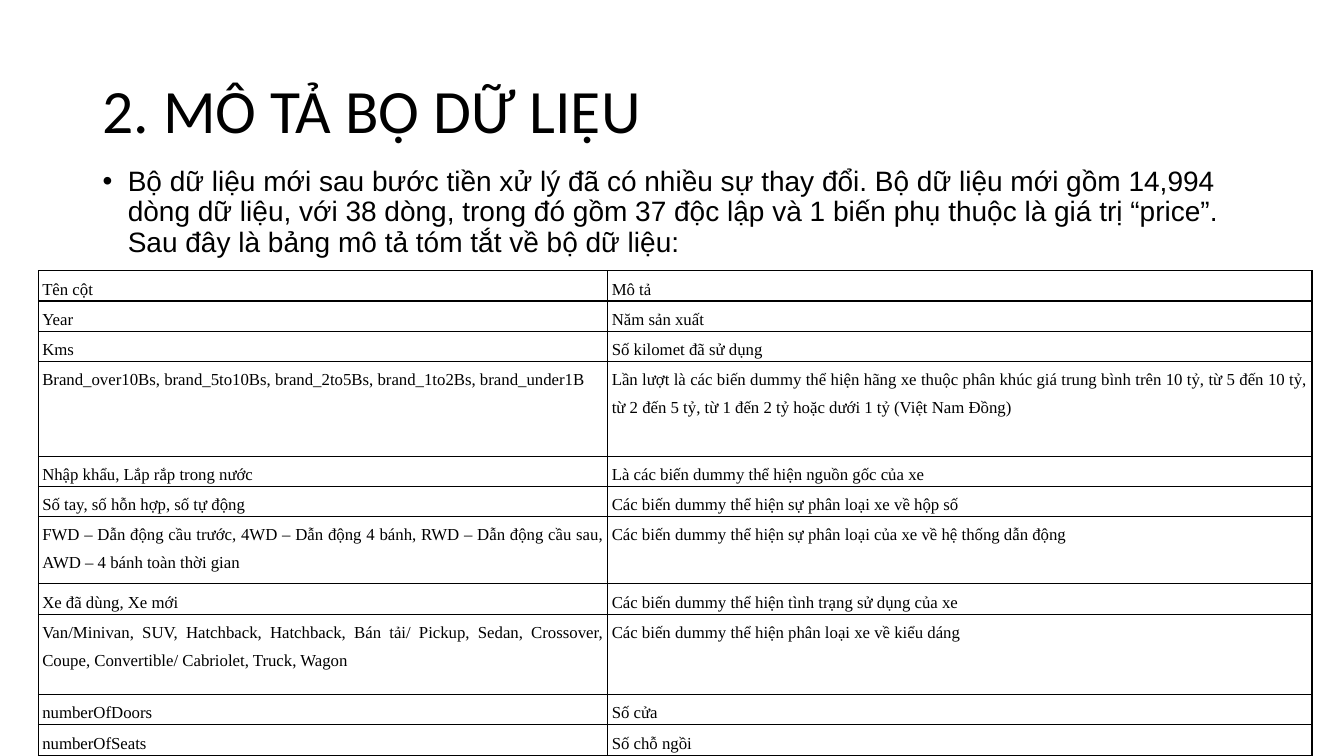
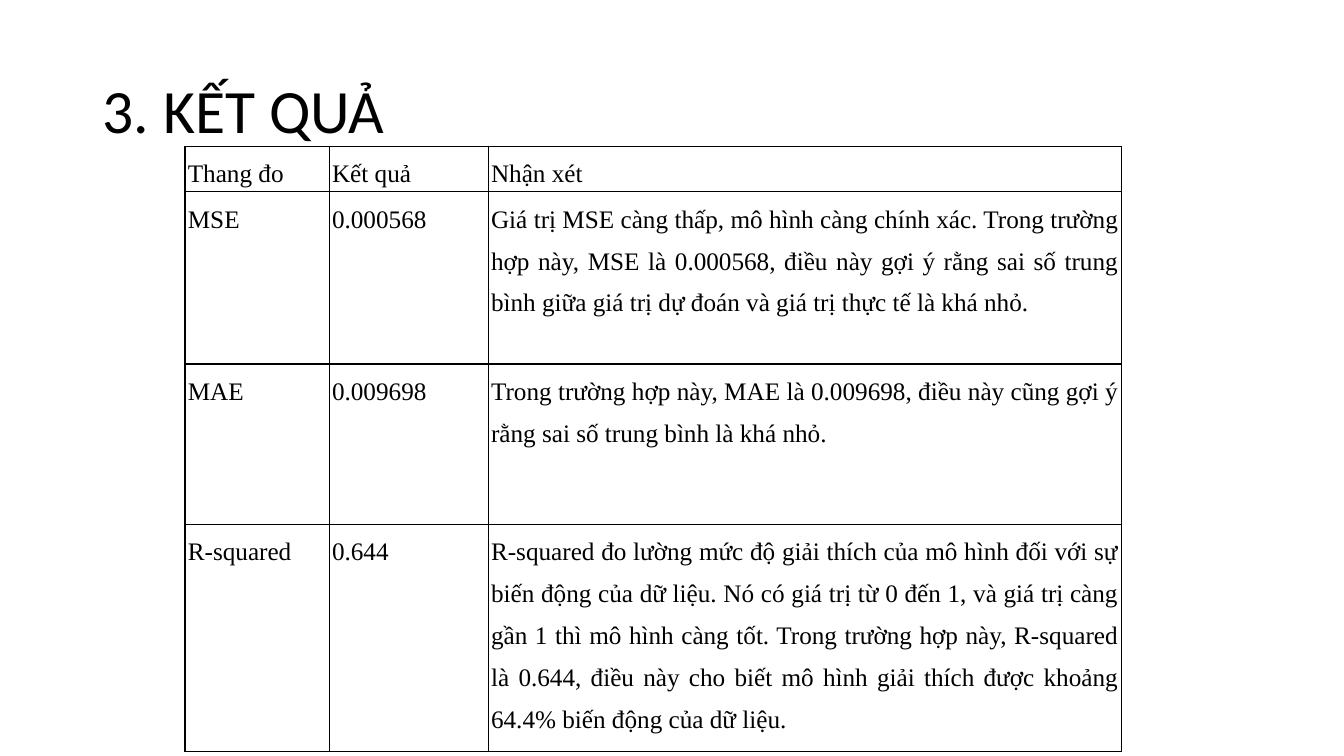
from lxml.etree import SubElement
from pptx import Presentation
from pptx.dml.color import RGBColor
from pptx.enum.text import MSO_ANCHOR, PP_ALIGN
from pptx.oxml.ns import qn
from pptx.util import Pt

BLACK = RGBColor(0x00, 0x00, 0x00)
WHITE = RGBColor(0xFF, 0xFF, 0xFF)
TITLE_FONT, BODY_FONT, TABLE_FONT = "Calibri", "Arial", "Times New Roman"
LEFT = 66.2

DATA_ROWS = [
    ("Tên cột", "Mô tả"),
    ("Year", "Năm sản xuất"),
    ("Kms", "Số kilomet đã sử dụng"),
    ("Brand_over10Bs, brand_5to10Bs, brand_2to5Bs, brand_1to2Bs, brand_under1B",
     "Lần lượt là các biến dummy thể hiện hãng xe thuộc phân khúc giá trung bình "
     "trên 10 tỷ, từ 5 đến 10 tỷ, từ 2 đến 5 tỷ, từ 1 đến 2 tỷ hoặc dưới 1 tỷ "
     "(Việt Nam Đồng)"),
    ("Nhập khẩu, Lắp rắp trong nước", "Là các biến dummy thể hiện nguồn gốc của xe"),
    ("Số tay, số hỗn hợp, số tự động",
     "Các biến dummy thể hiện sự phân loại xe về hộp số"),
    ("FWD – Dẫn động cầu trước, 4WD – Dẫn động 4 bánh, RWD – Dẫn động cầu sau, "
     "AWD – 4 bánh toàn thời gian",
     "Các biến dummy thể hiện sự phân loại của xe về hệ thống dẫn động"),
    ("Xe đã dùng, Xe mới", "Các biến dummy thể hiện tình trạng sử dụng của xe"),
    ("Van/Minivan, SUV, Hatchback, Hatchback, Bán tải/ Pickup, Sedan, Crossover, "
     "Coupe, Convertible/ Cabriolet, Truck, Wagon",
     "Các biến dummy thể hiện phân loại xe về kiểu dáng"),
    ("numberOfDoors", "Số cửa"),
    ("numberOfSeats", "Số chỗ ngồi"),
]
DATA_HEIGHTS = [20, 20, 20, 67.5, 20, 20, 48, 20, 57.5, 20, 20]

RESULT_ROWS = [
    ("Thang đo", "Kết quả", "Nhận xét"),
    ("MSE", "0.000568",
     "Giá trị MSE càng thấp, mô hình càng chính xác. Trong trường hợp này, MSE là "
     "0.000568, điều này gợi ý rằng sai số trung bình giữa giá trị dự đoán và giá "
     "trị thực tế là khá nhỏ."),
    ("MAE", "0.009698",
     "Trong trường hợp này, MAE là 0.009698, điều này cũng gợi ý rằng sai số trung "
     "bình là khá nhỏ."),
    ("R-squared", "0.644",
     "R-squared đo lường mức độ giải thích của mô hình đối với sự biến động của dữ "
     "liệu. Nó có giá trị từ 0 đến 1, và giá trị càng gần 1 thì mô hình càng tốt. "
     "Trong trường hợp này, R-squared là 0.644, điều này cho biết mô hình giải thích "
     "được khoảng 64.4% biến động của dữ liệu."),
]
RESULT_HEIGHTS = [30, 123, 114.5, 149]


def add_run(p, text, font, size):
    r = p.add_run()
    r.text = text
    r.font.name = font
    r.font.size = Pt(size)
    r.font.color.rgb = BLACK


def add_text(slide, box, text, font, size, anchor):
    """Add a wrapped text box and return its paragraph."""
    tf = slide.shapes.add_textbox(*map(Pt, box)).text_frame
    tf.word_wrap = True
    tf.vertical_anchor = anchor
    p = tf.paragraphs[0]
    p.line_spacing = 0.9
    add_run(p, text, font, size)
    return p


def add_title(slide, text):
    add_text(slide, (LEFT, 28.8, 828, 104.4), text, TITLE_FONT, 44, MSO_ANCHOR.MIDDLE)


def add_bullet(slide, text):
    p = add_text(slide, (LEFT, 116, 851, 104.4), text, BODY_FONT, 20, MSO_ANCHOR.TOP)
    p.space_before = Pt(10)
    pPr = p._p.get_or_add_pPr()
    pPr.set("marL", str(Pt(18)))
    pPr.set("indent", str(-Pt(18)))
    SubElement(pPr, qn("a:buFont"), typeface=BODY_FONT)
    SubElement(pPr, qn("a:buChar"), char="•")


def add_borders(cell):
    tcPr = cell._tc.get_or_add_tcPr()
    for side in "LRTB":
        ln = SubElement(tcPr, qn(f"a:ln{side}"), w=str(Pt(1)))
        fill = SubElement(ln, qn("a:solidFill"))
        SubElement(fill, qn("a:srgbClr"), val=str(BLACK))


def fill_cell(cell, text, size, inset):
    add_borders(cell)
    cell.fill.solid()
    cell.fill.fore_color.rgb = WHITE
    cell.margin_left = cell.margin_right = Pt(inset)
    cell.margin_top = cell.margin_bottom = 0
    p = cell.text_frame.paragraphs[0]
    p.alignment = PP_ALIGN.JUSTIFY
    p.line_spacing = 1.5
    p.space_after = Pt(6)
    add_run(p, text, TABLE_FONT, size)


def add_grid(slide, left, top, widths, heights, rows, size, inset):
    table = slide.shapes.add_table(
        len(rows), len(widths), Pt(left), Pt(top),
        Pt(sum(widths)), Pt(sum(heights))).table
    table.first_row = table.horz_banding = False
    for column, width in zip(table.columns, widths):
        column.width = Pt(width)
    for row, height, texts in zip(table.rows, heights, rows):
        row.height = Pt(height)
        for cell, text in zip(row.cells, texts):
            fill_cell(cell, text, size, inset)


def add_slide(prs, title):
    slide = prs.slides.add_slide(prs.slide_layouts[6])
    add_title(slide, title)
    return slide


def main():
    prs = Presentation()
    prs.slide_width, prs.slide_height = Pt(960), Pt(540)

    s = add_slide(prs, "2. MÔ TẢ BỘ DỮ LIỆU")
    add_bullet(s, "Bộ dữ liệu mới sau bước tiền xử lý đã có nhiều sự thay đổi. Bộ dữ "
                  "liệu mới gồm 14,994 dòng dữ liệu, với 38 dòng, trong đó gồm 37 độc "
                  "lập và 1 biến phụ thuộc là giá trị “price”. Sau đây là bảng mô tả "
                  "tóm tắt về bộ dữ liệu:")
    add_grid(s, 27.4, 193.4, [406.8, 503], DATA_HEIGHTS, DATA_ROWS, 12, 2.8)

    s = add_slide(prs, "3. KẾT QUẢ")
    add_grid(s, 132.2, 104.6, [103, 113.6, 452.2], RESULT_HEIGHTS, RESULT_ROWS, 18, 2)

    prs.save("out.pptx")


if __name__ == "__main__":
    main()
